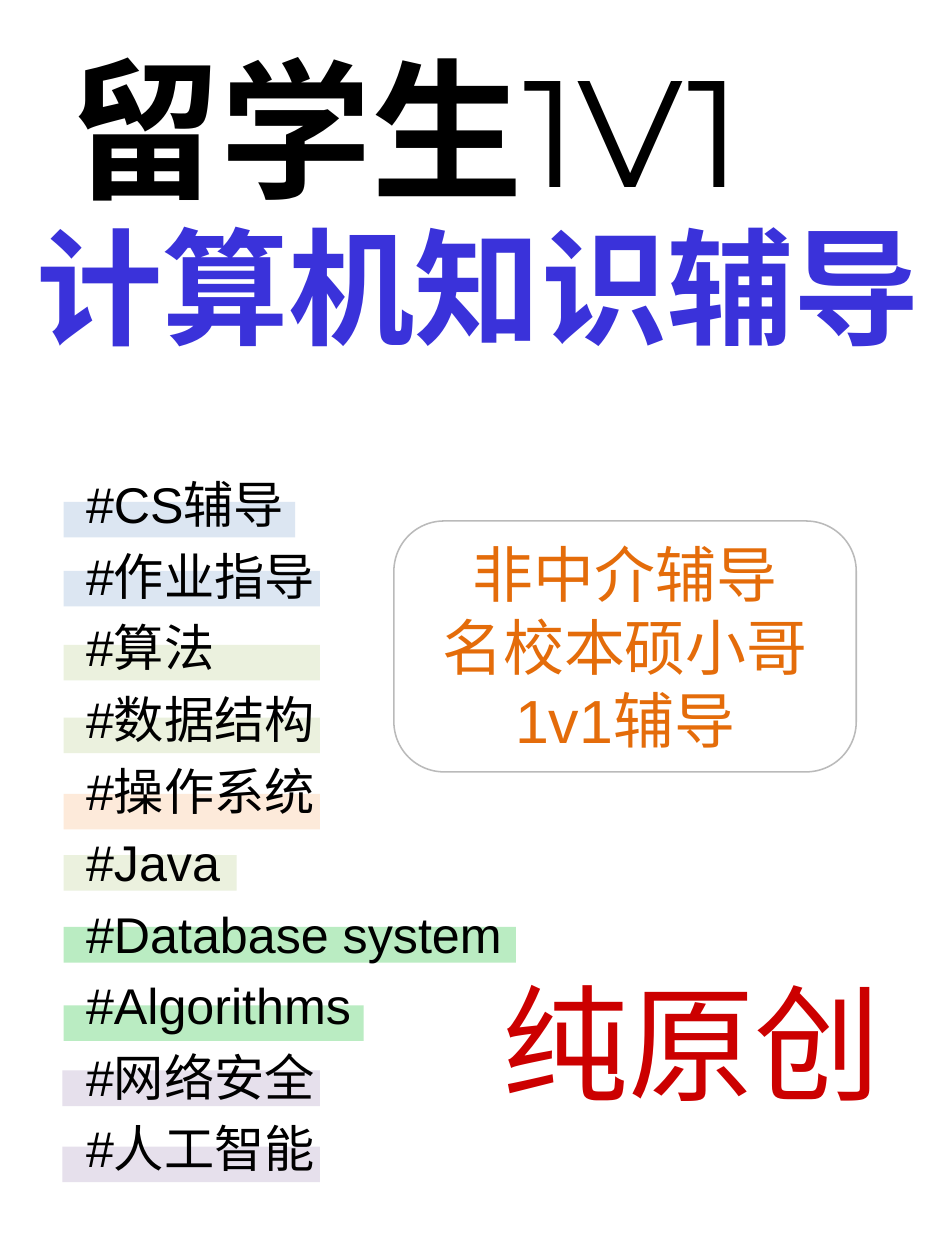
"""Builds a one-slide poster offering one-to-one computer science tutoring."""
from pptx import Presentation
from pptx.dml.color import RGBColor
from pptx.enum.shapes import MSO_SHAPE
from pptx.enum.text import MSO_ANCHOR, MSO_AUTO_SIZE, PP_ALIGN
from pptx.oxml.ns import qn
from pptx.util import Pt
from lxml import etree

PX = 9144
RECT, ROUNDED = MSO_SHAPE.RECTANGLE, MSO_SHAPE.ROUNDED_RECTANGLE
TOP, MIDDLE = MSO_ANCHOR.TOP, MSO_ANCHOR.MIDDLE
LEFT, CENTER = PP_ALIGN.LEFT, PP_ALIGN.CENTER
GROW, FIXED = MSO_AUTO_SIZE.SHAPE_TO_FIT_TEXT, MSO_AUTO_SIZE.NONE

COLORS = {
    "black": "000000", "white": "FFFFFF", "indigo": "3A32DA", "orange": "E46C0A",
    "red": "CC0000", "gray": "BABABA", "blue": "DCE6F2", "olive": "EBF1DE",
    "peach": "FDEADA", "green": "BAECC2", "lilac": "E6E0EC",
}
TOPICS = [
    ("#CS辅导", 116, 916, 423, "blue"),
    ("#作业指导", 116, 1042, 468, "blue"),
    ("#算法", 116, 1177, 468, "olive"),
    ("#数据结构", 116, 1310, 468, "olive"),
    ("#操作系统", 116, 1449, 468, "peach"),
    ("#Java", 116, 1561, 316, "olive"),
    ("#Database system", 116, 1692, 826, "green"),
    ("#Algorithms", 116, 1835, 548, "green"),
    ("#网络安全", 114, 1954, 470, "lilac"),
    ("#人工智能", 114, 2093, 470, "lilac"),
]


def rgb(color):
    """Return the named colour."""
    return RGBColor.from_string(COLORS[color])


class Poster:
    """Holds the style and the current slide."""

    def __init__(self, width, height):
        """Start a deck with one title-and-content slide."""
        self.deck = Presentation()
        self.deck.slide_width, self.deck.slide_height = width * PX, height * PX
        self.slide = self.deck.slides.add_slide(self.deck.slide_layouts[1])
        self.frame_format = {
            "word_wrap": True, "vertical_anchor": TOP, "auto_size": GROW,
            "margin_left": 10 * PX, "margin_right": 10 * PX,
            "margin_top": 10 * PX, "margin_bottom": 10 * PX,
        }

    def fill_text(self, frame, lines, font, size, color, frame_format=None, **paragraph_format):
        """Fill a text frame with lines, each a list of (text, bold) runs."""
        for name, value in {**self.frame_format, **(frame_format or {})}.items():
            setattr(frame, name, value)
        paragraph_format = {"alignment": LEFT, "space_before": Pt(0), **paragraph_format}
        for index, line in enumerate(lines):
            paragraph = frame.add_paragraph() if index else frame.paragraphs[0]
            for name, value in paragraph_format.items():
                setattr(paragraph, name, value)
            for text, bold in line:
                run = paragraph.add_run()
                run.text = text
                run.font.color.rgb = rgb(color)
                for name, value in {"name": font, "size": Pt(size), "bold": bold}.items():
                    setattr(run.font, name, value)
                east_asian = etree.SubElement(run._r.get_or_add_rPr(), qn("a:ea"))
                east_asian.set("typeface", font)

    def placeholder(self, index, box, lines, *style, **paragraph_format):
        """Move a placeholder to the front and fill it without bullets."""
        holder = self.slide.placeholders[index]
        holder.left, holder.top, holder.width, holder.height = [n * PX for n in box]
        holder.element.getparent().append(holder.element)
        self.fill_text(holder.text_frame, lines, *style, **paragraph_format)
        for paragraph in holder.text_frame.paragraphs:
            properties = paragraph._p.get_or_add_pPr()
            properties.set("marL", "0")
            properties.set("indent", "0")
            etree.SubElement(properties, qn("a:buNone"))

    def text(self, box, lines, *style):
        """Add a text box."""
        words = self.slide.shapes.add_textbox(*[n * PX for n in box])
        self.fill_text(words.text_frame, lines, *style)

    def shape(self, kind, box, fill, outline=None):
        """Add a flat shape with an optional outline."""
        shape = self.slide.shapes.add_shape(kind, *[n * PX for n in box])
        shape.shadow.inherit = False
        shape.fill.solid()
        shape.fill.fore_color.rgb = rgb(fill)
        if outline:
            shape.line.color.rgb = rgb(outline)
            shape.line.width = Pt(2)
        else:
            shape.line.fill.background()
        return shape

    def card(self, box, lines, *style):
        """Add a rounded card with centred lines."""
        card = self.shape(ROUNDED, box, "white", "gray")
        card.adjustments[0] = 0.2
        self.fill_text(card.text_frame, lines, *style,
                       frame_format={"vertical_anchor": MIDDLE, "auto_size": FIXED},
                       alignment=CENTER, line_spacing=Pt(96))


def main():
    """Build and save the poster."""
    poster = Poster(1725, 2300)
    for _, left, top, width, color in TOPICS:
        poster.shape(RECT, (left, top, width, 65), color)
    poster.placeholder(0, (116, 56, 1503, 345), [[("留学生", True), ("1V1", False)]],
                       "Montserrat", 199, "black")
    poster.text((56, 372, 1702, 289), [[("计算机知识辅导", True)]], "Calibri", 166, "indigo")
    poster.placeholder(1, (147, 855, 1031, 1310), [[(topic[0], False)] for topic in TOPICS],
                       "Arial", 66, "black", space_before=Pt(15), line_spacing=Pt(79))
    offers = ["非中介辅导", "名校本硕小哥", "1v1辅导"]
    poster.card((719, 951, 844, 458), [[(offer, False)] for offer in offers],
                "Arial", 80, "orange")
    poster.text((907, 1752, 787, 289), [[("纯原创", False)]], "Arial", 166, "red")
    poster.deck.save("out.pptx")


if __name__ == "__main__":
    main()
